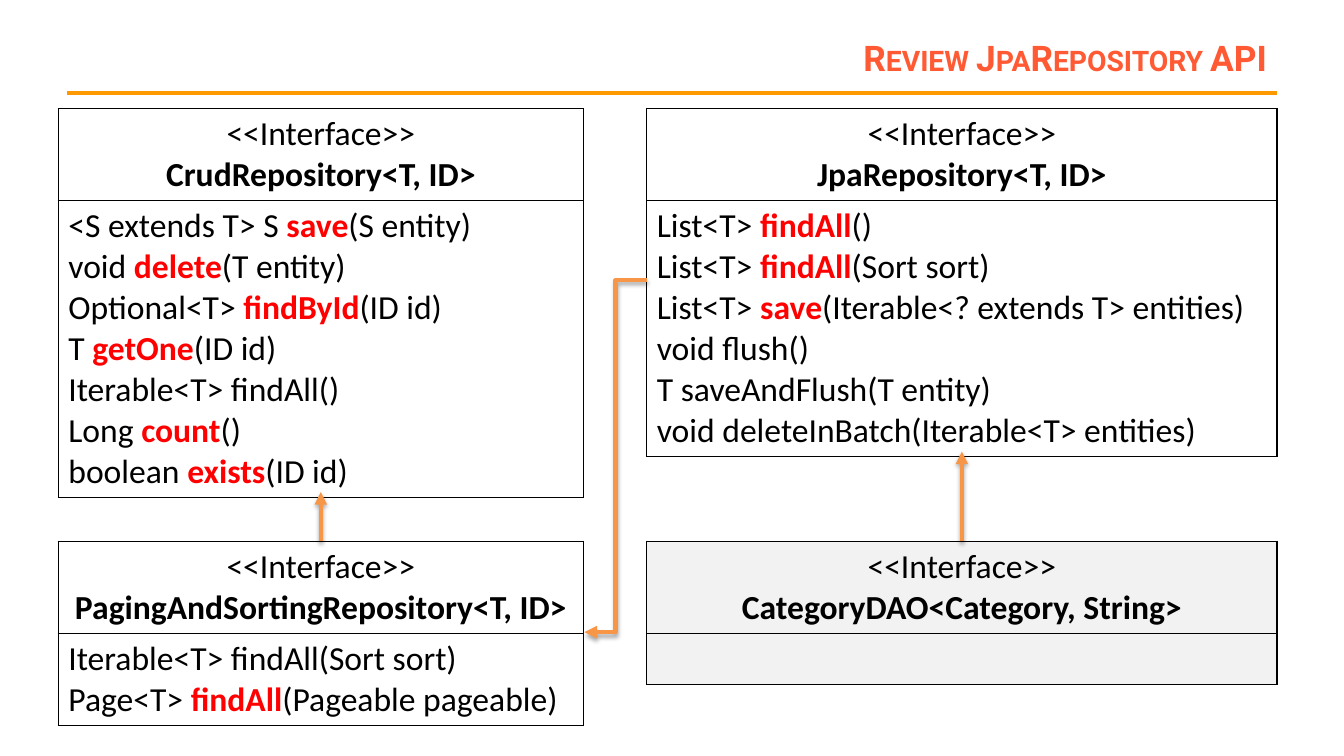
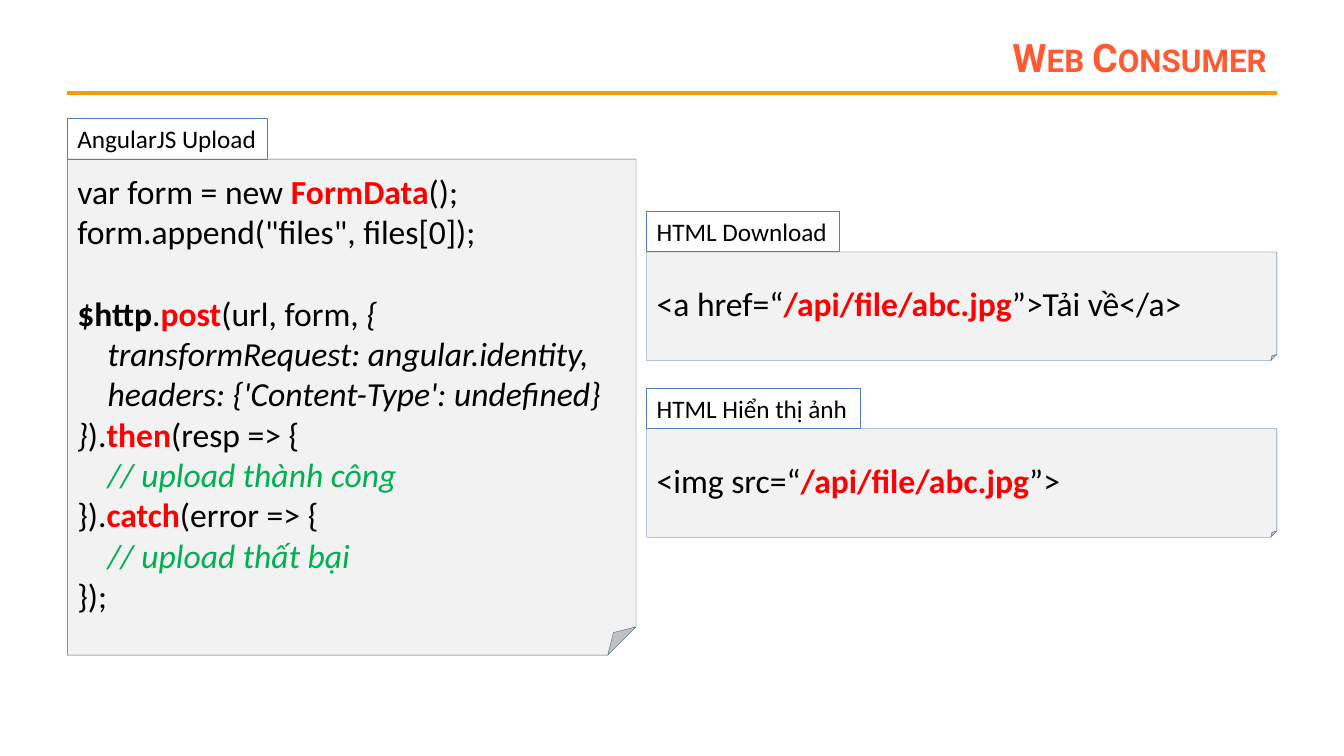
"""Build two slides on the JpaRepository API and its web consumer."""
from dataclasses import dataclass
from typing import NamedTuple

from lxml import etree
from pptx import Presentation
from pptx import util as u
from pptx.dml.color import RGBColor
from pptx.enum import shapes, text
from pptx.oxml.ns import qn

COLORS = {
    "ink": "000000",
    "title": "FF5A33",
    "rule": "FF9900",
    "keyword": "FF0000",
    "comment": "00B050",
    "arrow": "F79646",
    "panel": "F2F2F2",
    "panel_line": "3A5F8C",
    "tag_line": "4F81BD",
}
BODY_FONT, TITLE_FONT = "Calibri", "Roboto"
BODY_SIZE, TAG_SIZE = 24, 18
LINE_HEIGHT, CELL_PADDING, TAG_HEIGHT = 1.03, 0.26, 1.02
LEFT, RIGHT = 1.7, 32.18
TABLE_LEFT, TABLE_WIDTH = 1.47, 13.23
COLUMN_LEFT, COLUMN_WIDTH = 16.3, 15.88
UPPER, LOWER = 2.74, 13.64


class Span(NamedTuple):
    text: str
    color: str = "ink"
    bold: bool = False
    italic: bool = False


Line = tuple[Span, ...]


def marked(source: str) -> Line:
    """Split a line into spans; text between asterisks is a keyword."""
    return tuple(
        Span(part, "keyword", True) if index % 2 else Span(part)
        for index, part in enumerate(source.split("*"))
        if part
    )


@dataclass(frozen=True)
class Interface:
    name: str
    left: float
    top: float
    width: float
    methods: tuple[str, ...] = ()
    fill: str | None = None


@dataclass(frozen=True)
class Arrow:
    start: tuple[float, float]
    end: tuple[float, float]
    kind: shapes.MSO_CONNECTOR = shapes.MSO_CONNECTOR.STRAIGHT


@dataclass(frozen=True)
class Note:
    label: str
    label_width: float
    left: float
    top: float
    width: float
    height: float
    lines: tuple[Line, ...]


INTERFACES = (
    Interface("CrudRepository<T, ID>", TABLE_LEFT, UPPER, TABLE_WIDTH, (
        "<S extends T> S *save*(S entity)",
        "void *delete*(T entity)",
        "Optional<T> *findById*(ID id)",
        "T *getOne*(ID id)",
        "Iterable<T> findAll()",
        "Long *count*()",
        "boolean *exists*(ID id)",
    )),
    Interface("PagingAndSortingRepository<T, ID>", TABLE_LEFT, LOWER, TABLE_WIDTH, (
        "Iterable<T> findAll(Sort sort)",
        "Page<T> *findAll*(Pageable pageable)",
    )),
    Interface("JpaRepository<T, ID>", COLUMN_LEFT, UPPER, COLUMN_WIDTH, (
        "List<T> *findAll*()",
        "List<T> *findAll*(Sort sort)",
        "List<T> *save*(Iterable<? extends T> entities)",
        "void flush()",
        "T saveAndFlush(T entity)",
        "void deleteInBatch(Iterable<T> entities)",
    )),
    Interface("CategoryDAO<Category, String>", COLUMN_LEFT, LOWER, COLUMN_WIDTH,
              fill="panel"),
)
TABLE_CENTER = TABLE_LEFT + TABLE_WIDTH / 2
COLUMN_CENTER = COLUMN_LEFT + COLUMN_WIDTH / 2
ARROWS = (
    Arrow((TABLE_CENTER, LOWER), (TABLE_CENTER, 12.4)),
    Arrow((COLUMN_LEFT, 7.06), (14.73, 15.93), shapes.MSO_CONNECTOR.ELBOW),
    Arrow((COLUMN_CENTER, LOWER), (COLUMN_CENTER, 11.38)),
)
UPLOAD_CODE = (
    marked("var form = new *FormData*();"),
    marked('form.append("files", files[0]);'),
    (),
    (Span("$http", bold=True), *marked(".*post*(url, form, "), Span("{", italic=True)),
    (Span("    transformRequest: angular.identity,", italic=True),),
    (Span("    headers: {'Content-Type': undefined}", italic=True),),
    (Span("}", italic=True), *marked(").*then*(resp => {")),
    (Span("    // upload thành công", "comment", italic=True),),
    marked("}).*catch*(error => {"),
    (Span("    // upload thất bại", "comment", italic=True),),
    marked("});"),
)
NOTES = (
    Note("AngularJS Upload", 5.05, LEFT, 4.01, 14.33, 12.5, UPLOAD_CODE),
    Note("HTML Download", 4.85, COLUMN_LEFT, 6.35, COLUMN_WIDTH, 2.74,
         (marked("<a href=“*/api/file/abc.jpg*”>Tải về</a>"),)),
    Note("HTML Hiển thị ảnh", 5.38, COLUMN_LEFT, 10.8, COLUMN_WIDTH, 2.74,
         (marked("<img src=“*/api/file/abc.jpg*”>"),)),
)


def rgb(name: str) -> RGBColor:
    """Look up a named colour."""
    return RGBColor.from_string(COLORS[name])


def element(parent, tag: str, **attributes: str):
    """Append a DrawingML child."""
    return etree.SubElement(parent, qn(f"a:{tag}"), attributes)


def style(font, span: Span) -> None:
    """Give a font the look of a span."""
    font.color.rgb = rgb(span.color)
    font.bold = span.bold
    font.italic = span.italic


def write(frame, lines, size: float = BODY_SIZE, font: str = BODY_FONT,
          align=text.PP_ALIGN.LEFT) -> None:
    """Fill a text frame; an empty line becomes space before the next one."""
    para, gap = frame.paragraphs[0], 0.0
    for index, line in enumerate(lines):
        if not line:
            gap += size * 1.22
            continue
        if index:
            para = frame.add_paragraph()
        para.alignment = align
        if gap:
            para.space_before = u.Pt(gap)
            gap = 0.0
        para.font.name = font
        para.font.size = u.Pt(size)
        uniform = len({span[1:] for span in line}) == 1
        if uniform:
            style(para.font, line[0])
        for span in line:
            run = para.add_run()
            run.text = span.text
            if not uniform:
                style(run.font, span)


def add_line(page, arrow: Arrow, color: str):
    """Draw a connector and return it with its empty effect list."""
    points = [u.Cm(value) for value in (*arrow.start, *arrow.end)]
    connector = page.shapes.add_connector(arrow.kind, *points)
    connector.line.color.rgb = rgb(color)
    connector.line.width = u.Pt(3)
    return connector, element(connector._element.spPr, "effectLst")


def add_arrow(page, arrow: Arrow) -> None:
    """Draw an arrow with a soft shadow below it."""
    connector, effects = add_line(page, arrow, "arrow")
    element(connector._element.spPr.find(qn("a:ln")), "tailEnd", type="triangle")
    shadow = element(effects, "outerShdw", blurRad="40000", dist="23000",
                     dir="5400000", rotWithShape="0")
    shade = element(shadow, "srgbClr", val=COLORS["ink"])
    element(shade, "alpha", val="35000")


def add_page(deck, title: str, size: float):
    """Add a blank page with the title and the rule below it."""
    page = deck.slides.add_slide(deck.slide_layouts[6])
    add_line(page, Arrow((LEFT, 2.34), (RIGHT, 2.34)), "rule")
    box = page.shapes.add_textbox(u.Cm(6.2), u.Cm(0.76), u.Cm(RIGHT - 6.2), u.Cm(1.35))
    frame = box.text_frame
    frame.word_wrap = True
    frame.vertical_anchor = text.MSO_ANCHOR.MIDDLE
    write(frame, [(Span(title, "title", True),)], size, TITLE_FONT, text.PP_ALIGN.RIGHT)
    frame.paragraphs[0].runs[0]._r.get_or_add_rPr().set("cap", "small")
    return page


def format_cell(cell, fill: str | None) -> None:
    """Give a cell thin black borders and an optional fill."""
    properties = cell._tc.get_or_add_tcPr()
    for side in ("lnL", "lnR", "lnT", "lnB"):
        border = element(properties, side, w=str(u.Pt(1)))
        element(element(border, "solidFill"), "srgbClr", val=COLORS["ink"])
    if fill:
        cell.fill.solid()
        cell.fill.fore_color.rgb = rgb(fill)
    else:
        cell.fill.background()


def add_interface(page, interface: Interface) -> None:
    """Draw an interface as a table of name and methods."""
    heights = [CELL_PADDING + LINE_HEIGHT * count
               for count in (2, max(1, len(interface.methods)))]
    table = page.shapes.add_table(
        2, 1, u.Cm(interface.left), u.Cm(interface.top),
        u.Cm(interface.width), u.Cm(sum(heights))).table
    table.first_row = table.horz_banding = False
    for index, height in enumerate(heights):
        table.rows[index].height = u.Cm(height)
        format_cell(table.cell(index, 0), interface.fill)
    heading = [marked("<<Interface>>"), (Span(interface.name, bold=True),)]
    write(table.cell(0, 0).text_frame, heading, align=text.PP_ALIGN.CENTER)
    write(table.cell(1, 0).text_frame, [marked(method) for method in interface.methods])


def add_box(page, kind, left: float, top: float, width: float, height: float,
            line: str, weight: float):
    """Add an unfilled, outlined shape with its text centred vertically."""
    box = page.shapes.add_shape(kind, u.Cm(left), u.Cm(top), u.Cm(width), u.Cm(height))
    box.shadow.inherit = False
    box.fill.background()
    box.line.color.rgb = rgb(line)
    box.line.width = u.Pt(weight)
    box.text_frame.vertical_anchor = text.MSO_ANCHOR.MIDDLE
    return box


def add_note(page, note: Note) -> None:
    """Draw a folded code panel with a label on top."""
    panel = add_box(page, shapes.MSO_SHAPE.FOLDED_CORNER, note.left, note.top,
                    note.width, note.height, "panel_line", 0.25)
    geometry = panel._element.spPr.find(qn("a:prstGeom"))
    element(geometry.get_or_add_avLst(), "gd", name="adj", fmla="val 5700")
    panel.fill.solid()
    panel.fill.fore_color.rgb = rgb("panel")
    panel.text_frame.word_wrap = True
    write(panel.text_frame, note.lines)
    tag = add_box(page, shapes.MSO_SHAPE.RECTANGLE, note.left, note.top - TAG_HEIGHT,
                  note.label_width, TAG_HEIGHT, "tag_line", 0.75)
    tag.text_frame.word_wrap = False
    tag.text_frame.auto_size = text.MSO_AUTO_SIZE.SHAPE_TO_FIT_TEXT
    write(tag.text_frame, [(Span(note.label),)], TAG_SIZE)


def main() -> None:
    """Build and save the deck."""
    deck = Presentation()
    deck.slide_width, deck.slide_height = u.Cm(33.87), u.Cm(19.05)
    page = add_page(deck, "Review JpaRepository API", 25.2)
    for interface in INTERFACES:
        add_interface(page, interface)
    for arrow in ARROWS:
        add_arrow(page, arrow)
    page = add_page(deck, "Web Consumer", 28)
    for note in NOTES:
        add_note(page, note)
    deck.save("out.pptx")


if __name__ == "__main__":
    main()
